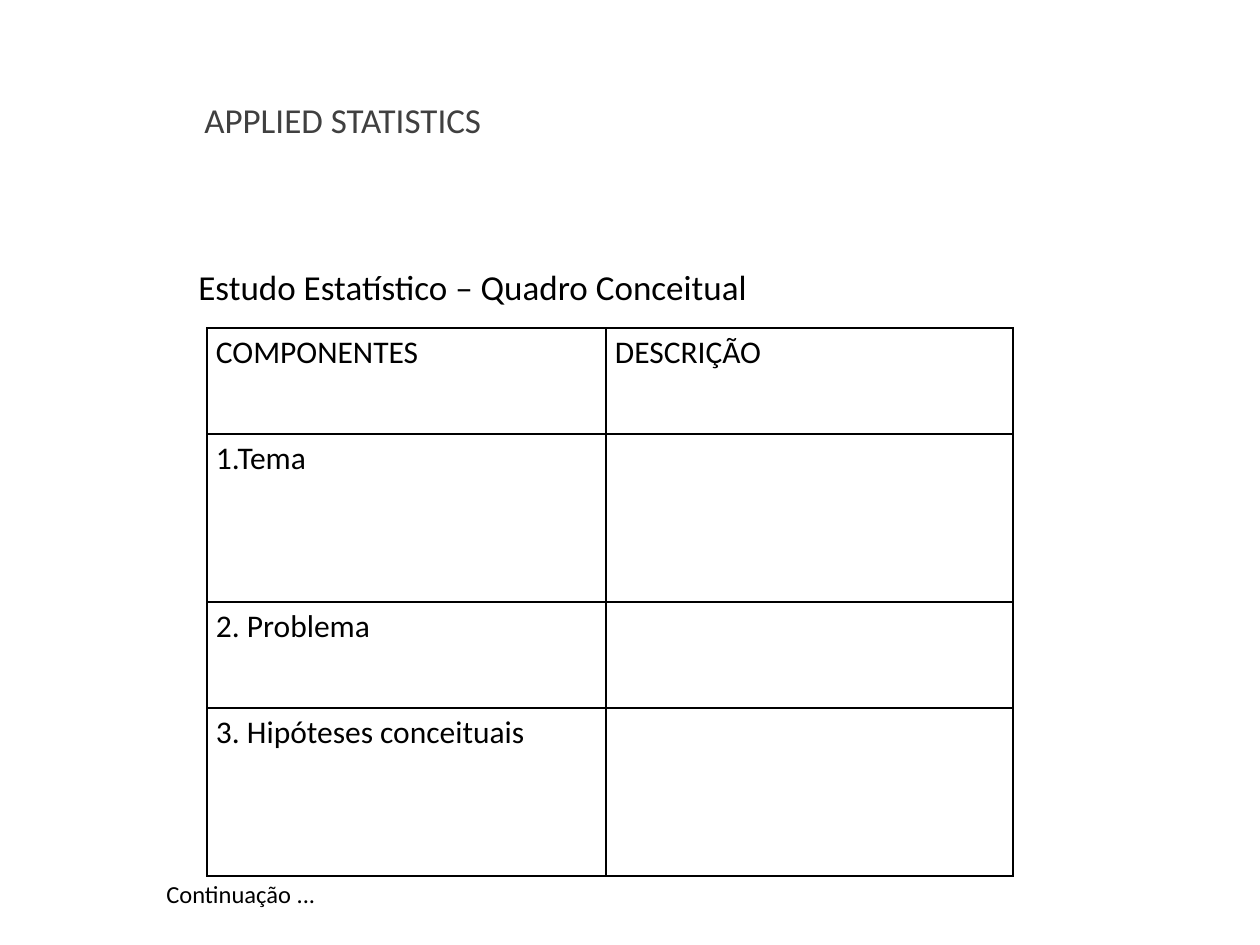
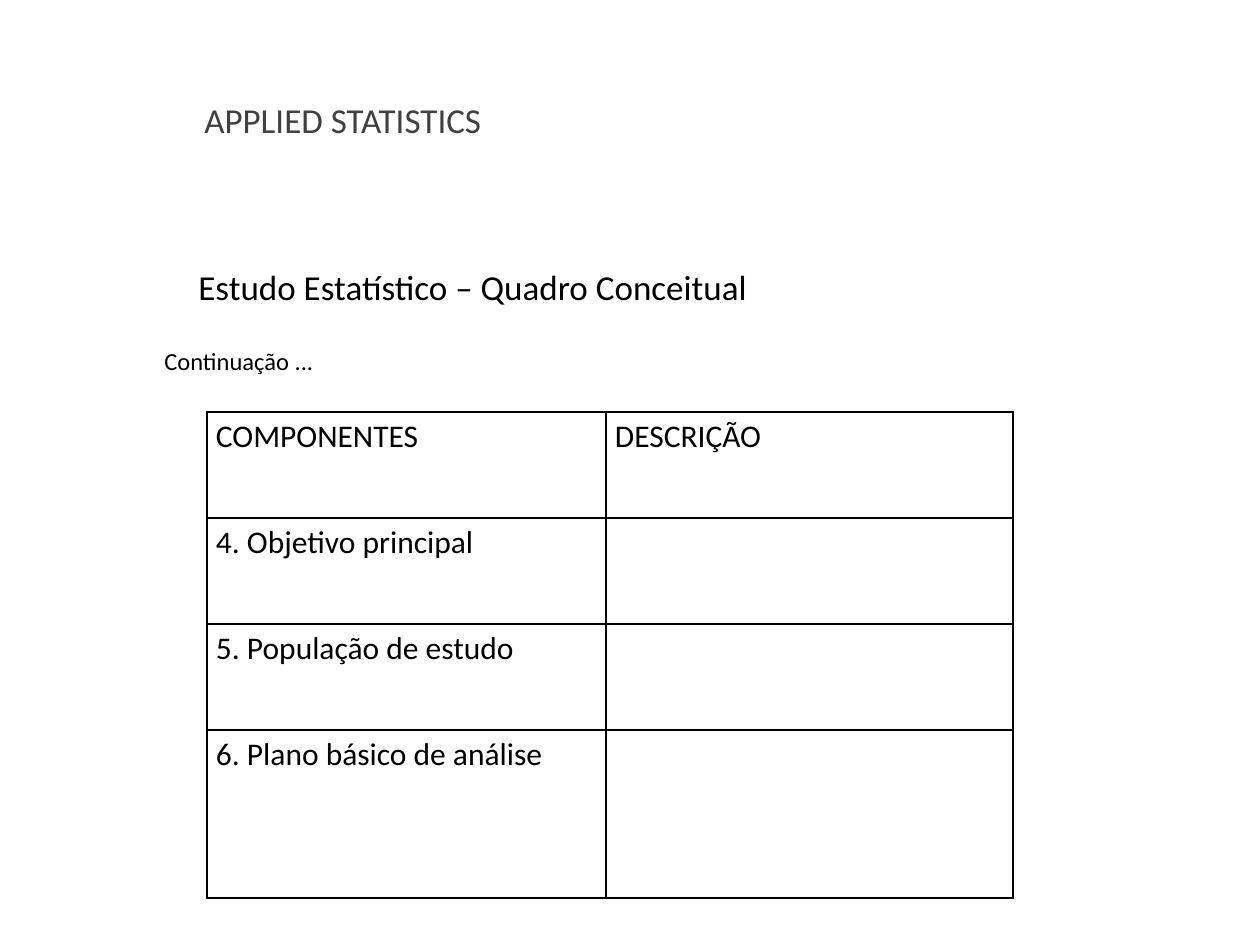
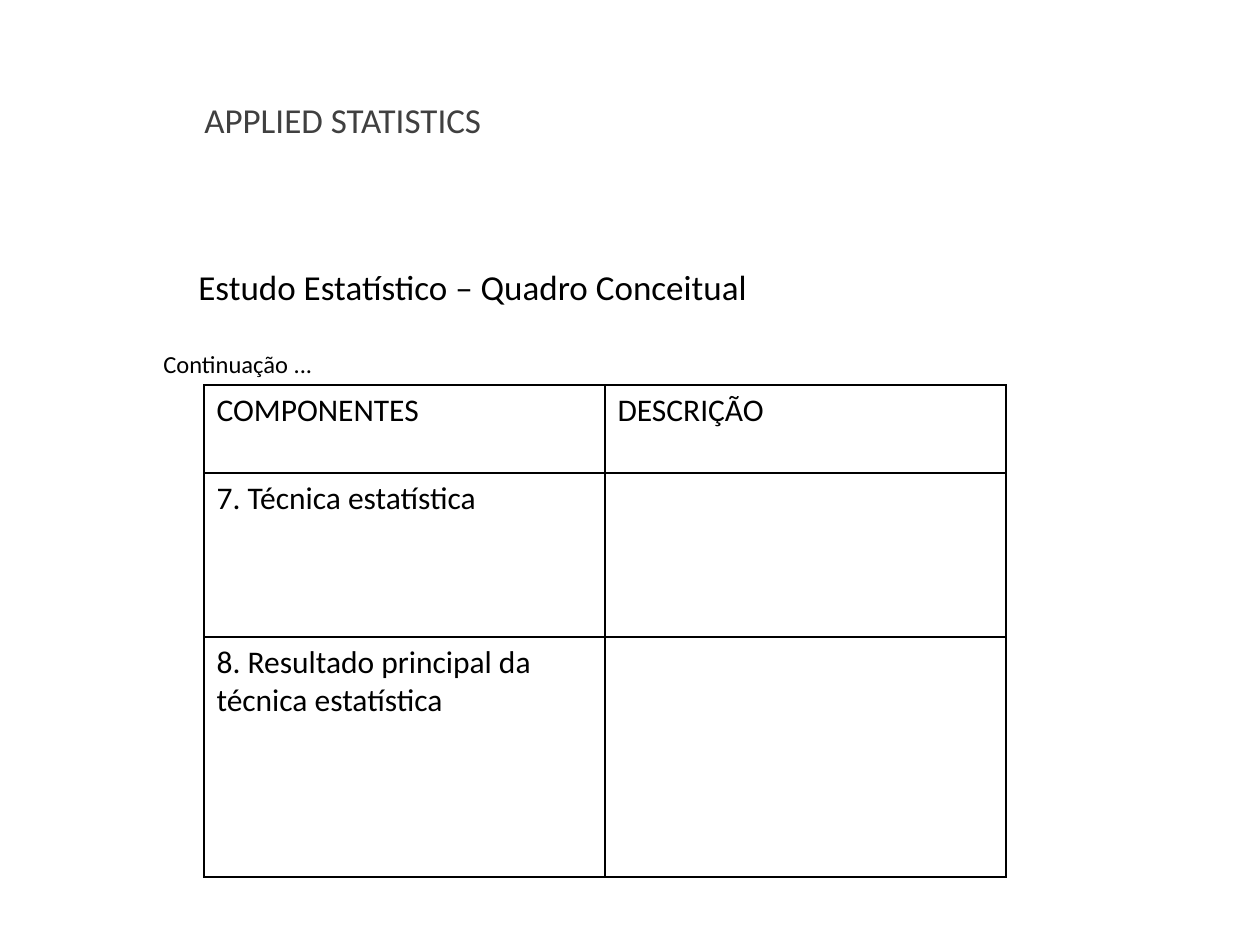
from lxml.etree import SubElement
from pptx import Presentation
from pptx.dml.color import RGBColor
from pptx.enum.text import MSO_AUTO_SIZE as AutoSize
from pptx.oxml.ns import qn
from pptx.util import Pt

PX = 914400 / 126
FONT = "Calibri"
BLACK = RGBColor(0x00, 0x00, 0x00)
GRAY = RGBColor(0x40, 0x40, 0x40)
HEADER = "COMPONENTES", "DESCRIÇÃO"


def px(n):
    return round(n * PX)


def put_text(tf, text, size=18, color=BLACK, spacing=None, after=0):
    tf.word_wrap = True
    p = tf.paragraphs[0]
    p.space_after = Pt(after)
    if spacing:
        p.line_spacing = spacing
    r = p.add_run()
    r.text = text
    r.font.name = FONT
    r.font.size = Pt(size)
    r.font.color.rgb = color


def add_label(s, text, x, y, w, h, **fmt):
    tf = s.shapes.add_textbox(px(x), px(y), px(w), px(h)).text_frame
    put_text(tf, text, **fmt)
    tf.auto_size = AutoSize.SHAPE_TO_FIT_TEXT


def set_borders(cell):
    tc_pr = cell._tc.get_or_add_tcPr()
    for side in ("lnL", "lnR", "lnT", "lnB"):
        ln = SubElement(tc_pr, qn(f"a:{side}"), w=str(Pt(1)))
        fill = SubElement(ln, qn("a:solidFill"))
        SubElement(fill, qn("a:srgbClr"), val=str(BLACK))


def add_framework(s, components, x, y, cols, rows, margins=None, **fmt):
    frame = s.shapes.add_table(len(rows), len(cols), px(x), px(y),
                               px(sum(cols)), px(sum(rows)))
    table = frame.table
    table.first_row = table.horz_banding = False
    for col, w in zip(table.columns, cols):
        col.width = px(w)
    for row, h in zip(table.rows, rows):
        row.height = px(h)
    for cell in table.iter_cells():
        set_borders(cell)
        cell.fill.background()
        if margins:
            side, end = margins
            cell.margin_left = cell.margin_right = px(side)
            cell.margin_top = cell.margin_bottom = px(end)
    for c, text in enumerate(HEADER):
        put_text(table.cell(0, c).text_frame, text, **fmt)
    for i, text in enumerate(components, 1):
        put_text(table.cell(i, 0).text_frame, text, **fmt)


def add_framework_slide(prs, note_x, note_y, components, **table_fmt):
    s = prs.slides.add_slide(prs.slide_layouts[6])
    add_framework(s, components, **table_fmt)
    add_label(s, "Estudo Estatístico – Quadro Conceitual", 186, 253, 630, 59,
              size=20, spacing=1.15, after=10)
    add_label(s, "Continuação ...", note_x, note_y, 278, 43, size=14)
    add_label(s, "APPLIED STATISTICS", 192, 92, 391, 55,
              size=20, color=GRAY, after=2)


def main():
    prs = Presentation()
    prs.slide_width, prs.slide_height = px(1260), px(945)
    spaced = dict(x=207, cols=(399, 407), margins=(9, 0), spacing=1.15, after=10)
    add_framework_slide(
        prs, 154, 873, ("1.Tema", "2. Problema", "3. Hipóteses conceituais"),
        y=328, rows=(106, 168, 106, 168), **spaced)
    add_framework_slide(
        prs, 152, 340,
        ("4. Objetivo principal", "5. População de estudo", "6. Plano básico de análise"),
        y=412, rows=(106, 106, 106, 168), **spaced)
    add_framework_slide(
        prs, 151, 343,
        ("7. Técnica estatística", "8. Resultado principal da técnica estatística"),
        x=204, y=385, cols=(401, 401), rows=(88, 164, 240))
    prs.save("out.pptx")


if __name__ == "__main__":
    main()
